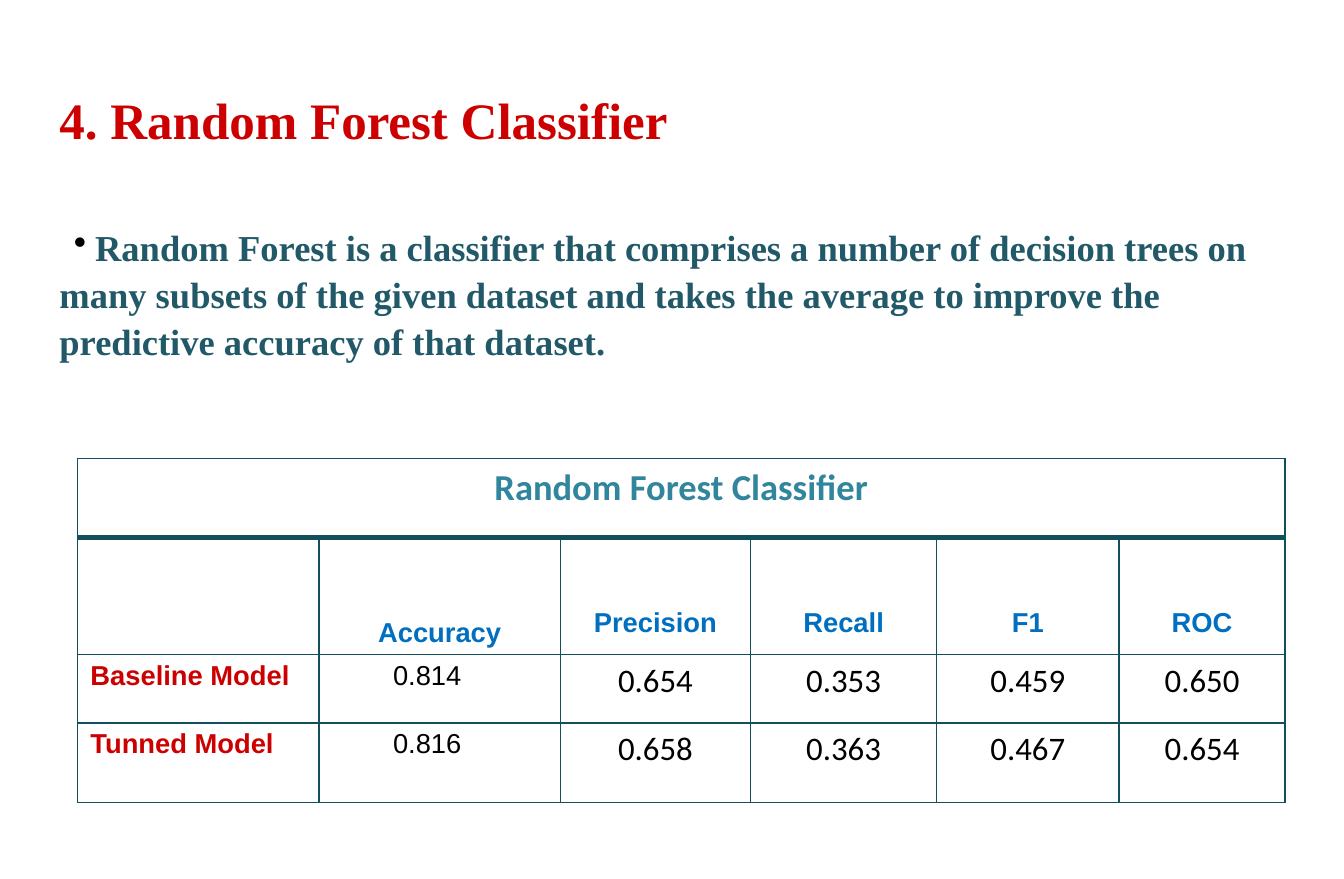
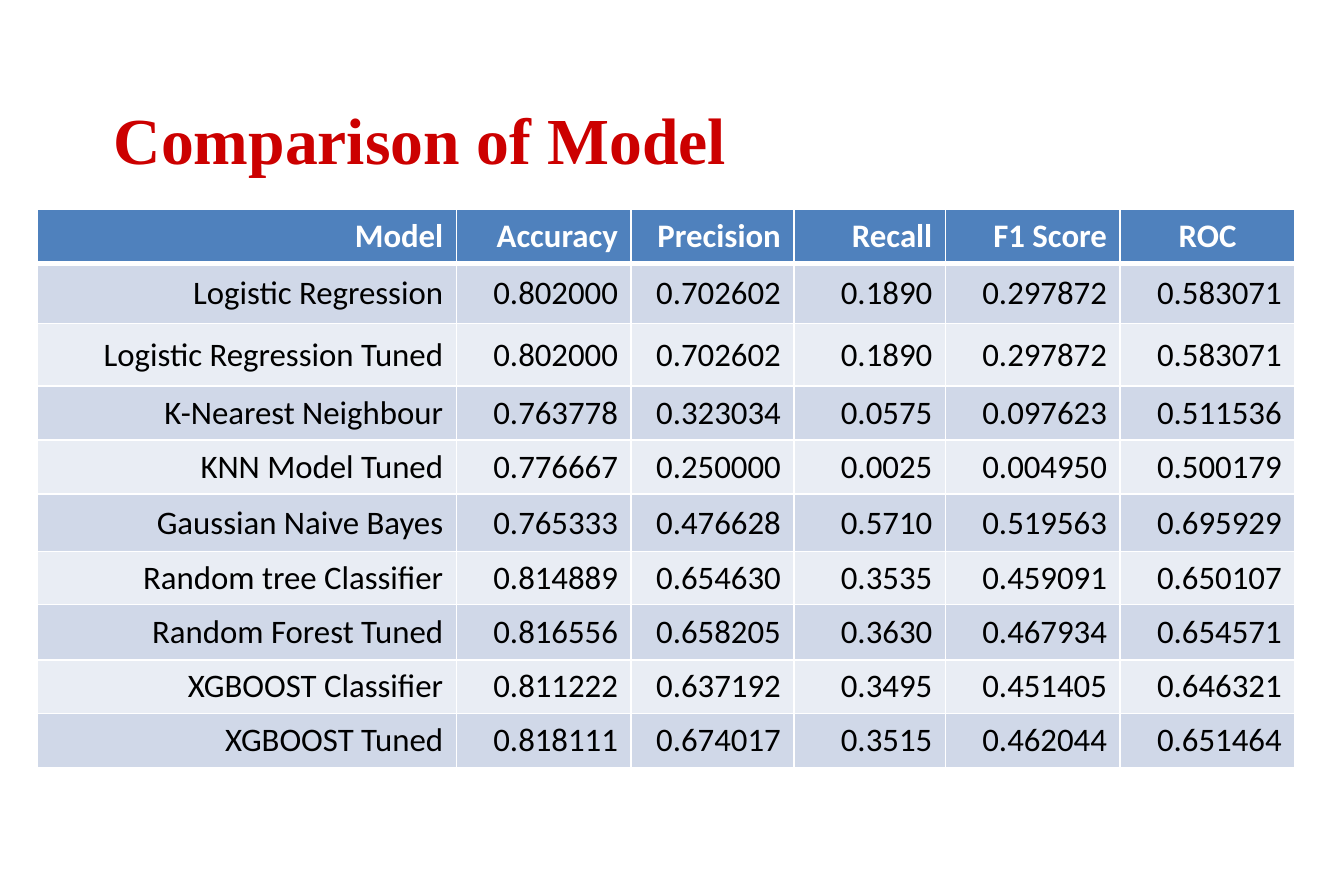
from lxml import etree
from pptx import Presentation
from pptx.dml.color import RGBColor
from pptx.enum.text import MSO_ANCHOR, PP_ALIGN
from pptx.oxml.ns import qn
from pptx.util import Cm, Pt

LEFT, CENTER, RIGHT = PP_ALIGN.LEFT, PP_ALIGN.CENTER, PP_ALIGN.RIGHT
TOP, MIDDLE, BOTTOM = MSO_ANCHOR.TOP, MSO_ANCHOR.MIDDLE, MSO_ANCHOR.BOTTOM

RED = RGBColor(0xCC, 0x00, 0x00)
TEAL = RGBColor(0x21, 0x59, 0x68)
AQUA = RGBColor(0x31, 0x85, 0x9C)
GRID_TEAL = RGBColor(0x12, 0x4F, 0x5C)
LABEL_BLUE = RGBColor(0x00, 0x6F, 0xC0)
HEADER_BLUE = RGBColor(0x4F, 0x81, 0xBD)
BAND_DARK = RGBColor(0xD0, 0xD8, 0xE8)
BAND_LIGHT = RGBColor(0xE9, 0xED, 0xF4)
WHITE = RGBColor(0xFF, 0xFF, 0xFF)
BLACK = RGBColor(0x00, 0x00, 0x00)

SERIF, SANS, BODY = "Times New Roman", "Arial", "Calibri"

FOREST_SCORES = [
    ("Baseline Model", "0.814", "0.654", "0.353", "0.459", "0.650"),
    ("Tunned Model", "0.816", "0.658", "0.363", "0.467", "0.654"),
]
COMPARISON = [
    ("Model", "Accuracy", "Precision", "Recall", "F1 Score", "ROC"),
    ("Logistic Regression", "0.802000", "0.702602", "0.1890", "0.297872", "0.583071"),
    ("Logistic Regression Tuned", "0.802000", "0.702602", "0.1890", "0.297872", "0.583071"),
    ("K-Nearest Neighbour", "0.763778", "0.323034", "0.0575", "0.097623", "0.511536"),
    ("KNN Model Tuned", "0.776667", "0.250000", "0.0025", "0.004950", "0.500179"),
    ("Gaussian Naive Bayes", "0.765333", "0.476628", "0.5710", "0.519563", "0.695929"),
    ("Random tree Classifier", "0.814889", "0.654630", "0.3535", "0.459091", "0.650107"),
    ("Random Forest Tuned", "0.816556", "0.658205", "0.3630", "0.467934", "0.654571"),
    ("XGBOOST Classifier", "0.811222", "0.637192", "0.3495", "0.451405", "0.646321"),
    ("XGBOOST Tuned", "0.818111", "0.674017", "0.3515", "0.462044", "0.651464"),
]


class Deck:
    """Holds the presentation, its shared style and the current slide."""

    def __init__(self):
        self.presentation = Presentation()
        self.presentation.slide_width = Cm(26)
        self.presentation.slide_height = Cm(17)
        self.slide = None

    def new_slide(self):
        self.slide = self.presentation.slides.add_slide(self.presentation.slide_layouts[6])

    def run(self, paragraph, text, font, size, color, bold=False):
        run = paragraph.add_run()
        run.text = text
        run.font.name = font
        run.font.size = Pt(size)
        run.font.bold = bold
        run.font.color.rgb = color

    def text_box(self, left, top, width, height):
        box = self.slide.shapes.add_textbox(Cm(left), Cm(top), Cm(width), Cm(height))
        frame = box.text_frame
        frame.word_wrap = True
        frame.margin_left = frame.margin_right = frame.margin_top = frame.margin_bottom = 0
        return frame.paragraphs[0]

    def title(self, text, left, top, width, height, size):
        paragraph = self.text_box(left, top, width, height)
        self.run(paragraph, text, SERIF, size, RED, bold=True)

    def bullet(self, text, left, top, width, height):
        paragraph = self.text_box(left, top, width, height)
        paragraph.line_spacing = 1.07
        paragraph.space_before = Pt(1)
        properties = paragraph._p.get_or_add_pPr()
        properties.set("indent", str(Cm(0.28)))
        etree.SubElement(properties, qn("a:buChar")).set("char", "•")
        self.run(paragraph, " ", BODY, 20, BLACK)
        self.run(paragraph, text, SERIF, 20, TEAL, bold=True)

    def table(self, left, top, widths, heights, grid_color):
        """Plain table with thin grid lines and a thick line below the first row."""
        frame = self.slide.shapes.add_table(
            len(heights), len(widths), Cm(left), Cm(top), Cm(sum(widths)), Cm(sum(heights)))
        table = frame.table
        table.first_row = table.horz_banding = False
        for column, width in zip(table.columns, widths):
            column.width = Cm(width)
        for index, (row, height) in enumerate(zip(table.rows, heights)):
            row.height = Cm(height)
            for cell in row.cells:
                self.borders(cell, grid_color, 3 if index == 1 else 1, 3 if index == 0 else 1)
                cell.fill.background()
        return table

    def borders(self, cell, color, top_width, bottom_width):
        properties = cell._tc.get_or_add_tcPr()
        for edge, width in (("L", 1), ("R", 1), ("T", top_width), ("B", bottom_width)):
            line = etree.SubElement(properties, qn(f"a:ln{edge}"), w=str(Pt(width)))
            fill = etree.SubElement(line, qn("a:solidFill"))
            etree.SubElement(fill, qn("a:srgbClr"), val=str(color))

    def cell(self, cell, text, font, size, color, bold=False, align=CENTER, anchor=TOP,
             margins=None, fill=None):
        """Fill one cell; margins are left, top, right, bottom in centimetres."""
        cell.vertical_anchor = anchor
        if margins:
            (cell.margin_left, cell.margin_top,
             cell.margin_right, cell.margin_bottom) = map(Cm, margins)
        if fill is not None:
            cell.fill.solid()
            cell.fill.fore_color.rgb = fill
        paragraph = cell.text_frame.paragraphs[0]
        paragraph.alignment = align
        self.run(paragraph, text, font, size, color, bold)


def random_forest_slide(deck):
    deck.new_slide()
    deck.title("4. Random Forest Classifier", 1.15, 1.71, 12.09, 2.44, 28)
    deck.bullet("Random Forest is a classifier that comprises a number of decision trees on "
                "many subsets of the given dataset and takes the average to improve the "
                "predictive accuracy of that dataset.", 1.15, 4.3, 23.42, 2.74)

    table = deck.table(1.5, 8.87, [4.67, 4.67, 3.68, 3.6, 3.53, 3.21],
                       [1.53, 2.26, 1.32, 1.54], GRID_TEAL)
    # Table heading
    table.cell(0, 0).merge(table.cell(0, 5))
    deck.cell(table.cell(0, 0), "Random Forest Classifier", BODY, 20, AQUA, bold=True,
              margins=(0, 0.13, 0, 0))
    # Column labels
    for column, label in enumerate(("Accuracy", "Precision", "Recall", "F1", "ROC"), 1):
        deck.cell(table.cell(1, column), label, SANS, 15, LABEL_BLUE, bold=True, anchor=BOTTOM,
                  margins=(0, 0, 0, 0.12 if column == 1 else 0.32))
    # Scores
    for row, (model, accuracy, *scores) in enumerate(FOREST_SCORES, 2):
        deck.cell(table.cell(row, 0), model, SANS, 15, RED, bold=True, align=LEFT,
                  margins=(0.25, 0.12, 0, 0))
        deck.cell(table.cell(row, 1), accuracy, SANS, 15, BLACK, margins=(0, 0.12, 0.48, 0))
        for column, score in enumerate(scores, 2):
            deck.cell(table.cell(row, column), score, BODY, 18, BLACK, margins=(0, 0.13, 0, 0))


def comparison_slide(deck):
    deck.new_slide()
    deck.title("Comparison of Model", 2.2, 1.92, 15.04, 1.47, 36)

    table = deck.table(0.72, 4.05, [8.11, 3.38, 3.15, 2.93, 3.38, 3.38],
                       [1.04, 1.17, 1.21, 1.04, 1.04, 1.12, 1.02, 1.07, 1.04, 1.04], WHITE)
    for row, values in enumerate(COMPARISON):
        header = row == 0
        band = BAND_DARK if row % 2 else BAND_LIGHT
        for column, value in enumerate(values):
            centered = header and value == "ROC"
            deck.cell(table.cell(row, column), value, BODY, 18, WHITE if header else BLACK,
                      bold=header, align=CENTER if centered else RIGHT,
                      anchor=TOP if centered else MIDDLE,
                      fill=HEADER_BLUE if header else band)


def main():
    deck = Deck()
    random_forest_slide(deck)
    comparison_slide(deck)
    deck.presentation.save("out.pptx")


if __name__ == "__main__":
    main()
